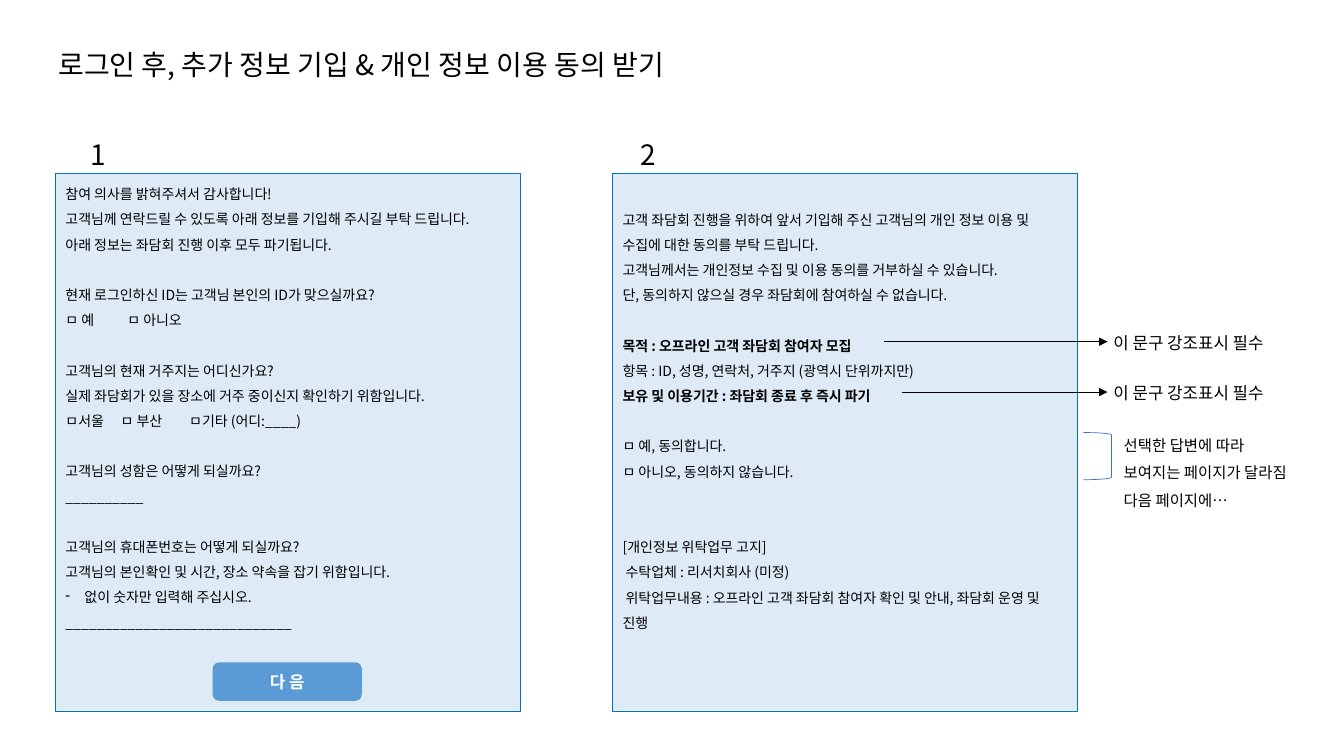
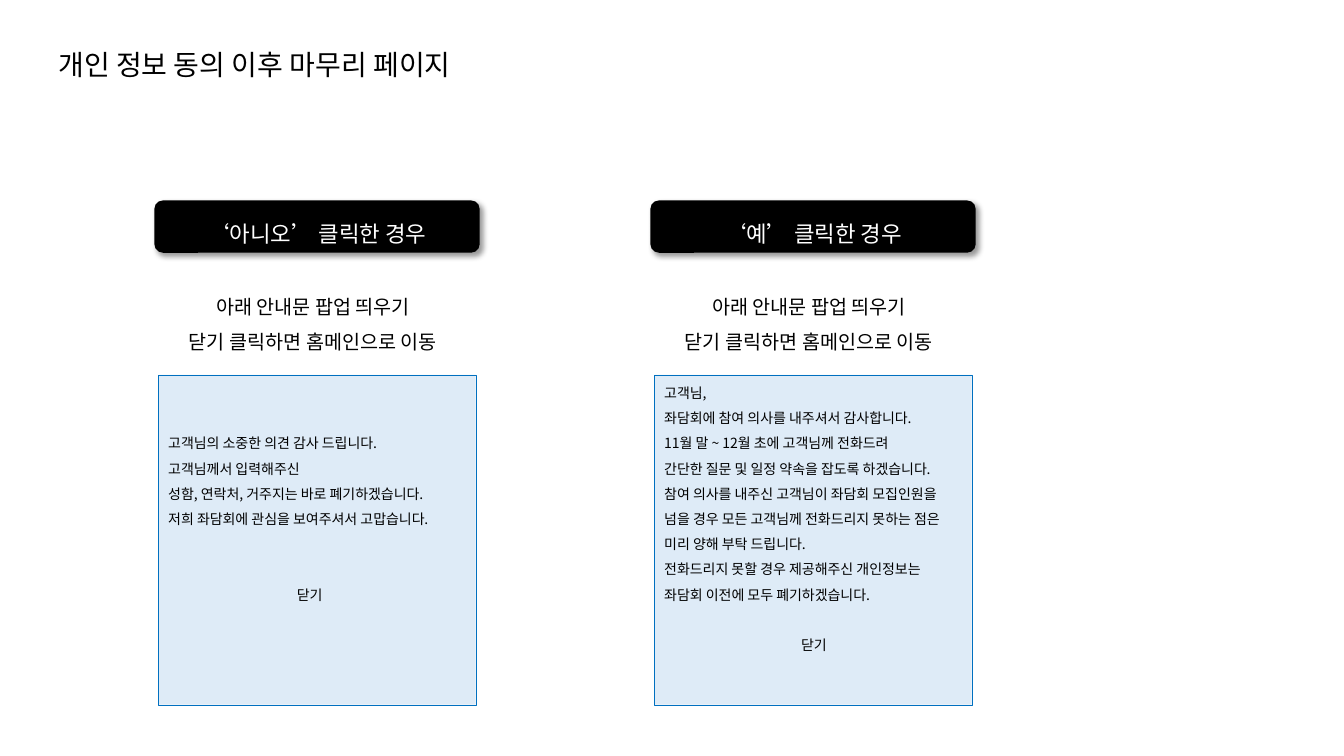
from dataclasses import dataclass

from lxml.etree import SubElement
from pptx import Presentation
from pptx.dml.color import RGBColor
from pptx.enum.shapes import MSO_CONNECTOR, MSO_SHAPE
from pptx.enum.text import MSO_ANCHOR, PP_ALIGN
from pptx.oxml.ns import qn
from pptx.util import Cm, Pt


@dataclass(frozen=True)
class Theme:
    font: str = "Noto Sans CJK KR"
    ink: str = "000000"
    white: str = "FFFFFF"
    pale: str = "DEEBF7"
    edge: str = "0070C0"
    button: str = "5B9BD5"
    brace: str = "4472C4"
    title: int = 20
    head: int = 16
    guide: int = 14
    label: int = 12
    note: int = 11
    body: int = 10
    loose: float = 1.8
    tight: float = 1.2


@dataclass(frozen=True)
class Row:
    text: str
    gap: int = 0
    bold: bool = False
    left: float = 0
    dash: bool = False
    tabs: tuple = ()


THEME = Theme()
LEFT, CENTER = PP_ALIGN.LEFT, PP_ALIGN.CENTER

FORMS = {
    "title": "로그인 후, 추가 정보 기입 & 개인 정보 이용 동의 받기",
    "panels": [
        ("1", 1.4, 1.4, 0.1, [
            Row("참여 의사를 밝혀주셔서 감사합니다!"),
            Row("고객님께 연락드릴 수 있도록 아래 정보를 기입해 주시길 부탁 드립니다."),
            Row("아래 정보는 좌담회 진행 이후 모두 파기됩니다."),
            Row("현재 로그인하신 ID는 고객님 본인의 ID가 맞으실까요?", gap=1),
            Row("ㅁ 예\tㅁ 아니오", tabs=(1.56,)),
            Row("고객님의 현재 거주지는 어디신가요?", gap=1),
            Row("실제 좌담회가 있을 장소에 거주 중이신지 확인하기 위함입니다."),
            Row("ㅁ서울\tㅁ 부산\tㅁ기타 (어디:____)", tabs=(1.39, 3.12)),
            Row("고객님의 성함은 어떻게 되실까요?", gap=1),
            Row("__________"),
            Row("고객님의 휴대폰번호는 어떻게 되실까요?", gap=1),
            Row("고객님의 본인확인 및 시간, 장소 약속을 잡기 위함입니다."),
            Row("없이 숫자만 입력해 주십시오.", left=0.48, dash=True),
            Row("_____________________________"),
        ]),
        ("2", 15.24, 15.44, 0.74, [
            Row("고객 좌담회 진행을 위하여 앞서 기입해 주신 고객님의 개인 정보 이용 및 수집에 대한 동의를 부탁 드립니다."),
            Row("고객님께서는 개인정보 수집 및 이용 동의를 거부하실 수 있습니다."),
            Row("단, 동의하지 않으실 경우 좌담회에 참여하실 수 없습니다."),
            Row("목적 : 오프라인 고객 좌담회 참여자 모집", gap=1, bold=True),
            Row("항목 : ID, 성명, 연락처, 거주지 (광역시 단위까지만)"),
            Row("보유 및 이용기간 : 좌담회 종료 후 즉시 파기", bold=True),
            Row("ㅁ 예, 동의합니다.", gap=1),
            Row("ㅁ 아니오, 동의하지 않습니다."),
            Row("[개인정보 위탁업무 고지]", gap=2),
            Row(" 수탁업체 : 리서치회사 (미정)"),
            Row(" 위탁업무내용 : 오프라인 고객 좌담회 참여자 확인 및 안내, 좌담회 운영 및 진행"),
        ]),
    ],
    "button": "다 음",
    "arrows": [(22.28, 8.61), (22.73, 9.88)],
    "label": "이 문구 강조표시 필수",
    "note": ["선택한 답변에 따라", "보여지는 페이지가 달라짐", "다음 페이지에…"],
}

CLOSING = {
    "title": "개인 정보 동의 이후 마무리 페이지",
    "guide": ["아래 안내문 팝업 띄우기", "닫기 클릭하면 홈메인으로 이동"],
    "cases": [
        ("‘아니오’ 클릭한 경우", 1.3, [
            Row("고객님의 소중한 의견 감사 드립니다."),
            Row("고객님께서 입력해주신"),
            Row("성함, 연락처, 거주지는 바로 폐기하겠습니다."),
            Row("저희 좌담회에 관심을 보여주셔서 고맙습니다."),
            Row("닫기", gap=2, left=3.24),
        ]),
        ("‘예’ 클릭한 경우", 0.03, [
            Row("고객님,"),
            Row("좌담회에 참여 의사를 내주셔서 감사합니다."),
            Row("11월 말 ~ 12월 초에 고객님께 전화드려"),
            Row("간단한 질문 및 일정 약속을 잡도록 하겠습니다."),
            Row("참여 의사를 내주신 고객님이 좌담회 모집인원을 넘을 경우 모든 고객님께 전화드리지 못하는 점은 미리 양해 부탁 드립니다."),
            Row("전화드리지 못할 경우 제공해주신 개인정보는 좌담회 이전에 모두 폐기하겠습니다."),
            Row("닫기", gap=1, left=3.45),
        ]),
    ],
}


def color(code):
    return RGBColor.from_string(code)


def place(box):
    return [Cm(part) for part in box]


def write(shape, rows, size, ink=THEME.ink, lead=THEME.loose, align=LEFT):
    frame = shape.text_frame
    frame.word_wrap = True
    rows = [row if isinstance(row, Row) else Row(row) for row in rows]
    for index, row in enumerate(rows):
        para = frame.add_paragraph() if index else frame.paragraphs[0]
        para.text = row.text
        para.alignment = align
        para.line_spacing = Pt(size * lead)
        para.space_before = Pt(size * lead * row.gap)
        props = para._p.get_or_add_pPr()
        if row.left:
            props.set("marL", str(Cm(row.left)))
            props.set("indent", str(-Cm(row.left) if row.dash else 0))
        if row.dash:
            SubElement(props, qn("a:buChar"), char="-")
        if row.tabs:
            stops = SubElement(props, qn("a:tabLst"))
            for stop in row.tabs:
                SubElement(stops, qn("a:tab"), pos=str(Cm(stop)), algn="l")
        for run in para.runs:
            font = run.font
            font.size = Pt(size)
            font.bold = row.bold
            font.color.rgb = color(ink)
            font.name = THEME.font
            SubElement(run._r.get_or_add_rPr(), qn("a:ea"), typeface=THEME.font)


def add_text(slide, box, rows, size, **style):
    write(slide.shapes.add_textbox(*place(box)), rows, size, **style)


def add_box(slide, kind, box, fill=None, line=None, width=0.25):
    shape = slide.shapes.add_shape(kind, *place(box))
    shape.shadow.inherit = False
    if fill:
        shape.fill.solid()
        shape.fill.fore_color.rgb = color(fill)
    else:
        shape.fill.background()
    if line:
        shape.line.color.rgb = color(line)
        shape.line.width = Pt(width)
    else:
        shape.line.fill.background()
    return shape


def add_panel(slide, box, top, rows):
    panel = add_box(slide, MSO_SHAPE.RECTANGLE, box, THEME.pale, THEME.edge)
    panel.text_frame.vertical_anchor = MSO_ANCHOR.TOP
    panel.text_frame.margin_top = Cm(top)
    panel.text_frame.margin_bottom = 0
    write(panel, rows, THEME.body)


def add_badge(slide, box, text, fill, size, bold=False, lead=THEME.loose):
    badge = add_box(slide, MSO_SHAPE.ROUNDED_RECTANGLE, box, fill)
    badge.text_frame.vertical_anchor = MSO_ANCHOR.MIDDLE
    write(badge, [Row(text, bold=bold)], size, THEME.white, lead, CENTER)
    return badge


def add_shade(shape):
    effect = shape._element.spPr.find(qn("a:effectLst"))
    shade = SubElement(effect, qn("a:outerShdw"), blurRad=str(Pt(4)), dist=str(Pt(3)),
                       dir="2700000", algn="tl", rotWithShape="0")
    tone = SubElement(shade, qn("a:srgbClr"), val=THEME.ink)
    SubElement(tone, qn("a:alpha"), val="40000")


def add_arrow(slide, start, end, level):
    arrow = slide.shapes.add_connector(MSO_CONNECTOR.STRAIGHT, *place((start, level, end, level)))
    arrow.line.color.rgb = color(THEME.ink)
    arrow.line.width = Pt(0.5)
    SubElement(arrow.line._get_or_add_ln(), qn("a:tailEnd"), type="triangle")
    SubElement(arrow._element.spPr, qn("a:effectLst"))


def add_page(deck, title):
    slide = deck.slides.add_slide(deck.slide_layouts[6])
    add_text(slide, (1.22, 0.66, 31.85, 1.42), [title], THEME.title)
    return slide


def draw_forms(deck):
    slide = add_page(deck, FORMS["title"])
    for mark, spot, left, top, rows in FORMS["panels"]:
        add_panel(slide, (left, 4.37, 11.71, 13.54), top, rows)
        add_text(slide, (spot, 3.33, 2.18, 1.12), [mark], THEME.title,
                 lead=THEME.tight, align=CENTER)
    add_badge(slide, (5.36, 16.69, 3.76, 0.97), FORMS["button"], THEME.button,
              THEME.label, bold=True, lead=THEME.tight)
    add_box(slide, MSO_SHAPE.RIGHT_BRACKET, (27.3, 10.9, 0.71, 1.19),
            line=THEME.brace, width=0.5)
    add_text(slide, (28.07, 10.62, 5.46, 2.31), FORMS["note"], THEME.note)
    for start, level in FORMS["arrows"]:
        add_arrow(slide, start, 27.91, level)
        add_text(slide, (27.81, level - 0.36, 5.89, 0.76), [FORMS["label"]],
                 THEME.label, lead=THEME.tight)


def draw_closing(deck):
    slide = add_page(deck, CLOSING["title"])
    for index, (head, top, rows) in enumerate(CLOSING["cases"]):
        left = 3.89 + 12.5 * index
        add_shade(add_badge(slide, (left, 5.05, 8.2, 1.32), head, THEME.ink, THEME.head))
        add_panel(slide, (left + 0.1, 9.45, 8, 8.31), top, rows)
        add_text(slide, (left - 0.1, 7.01, 8.2, 1.98), CLOSING["guide"],
                 THEME.guide, align=CENTER)


def main():
    deck = Presentation()
    deck.slide_width, deck.slide_height = Cm(33.87), Cm(19.05)
    draw_forms(deck)
    draw_closing(deck)
    deck.save("out.pptx")


if __name__ == "__main__":
    main()
